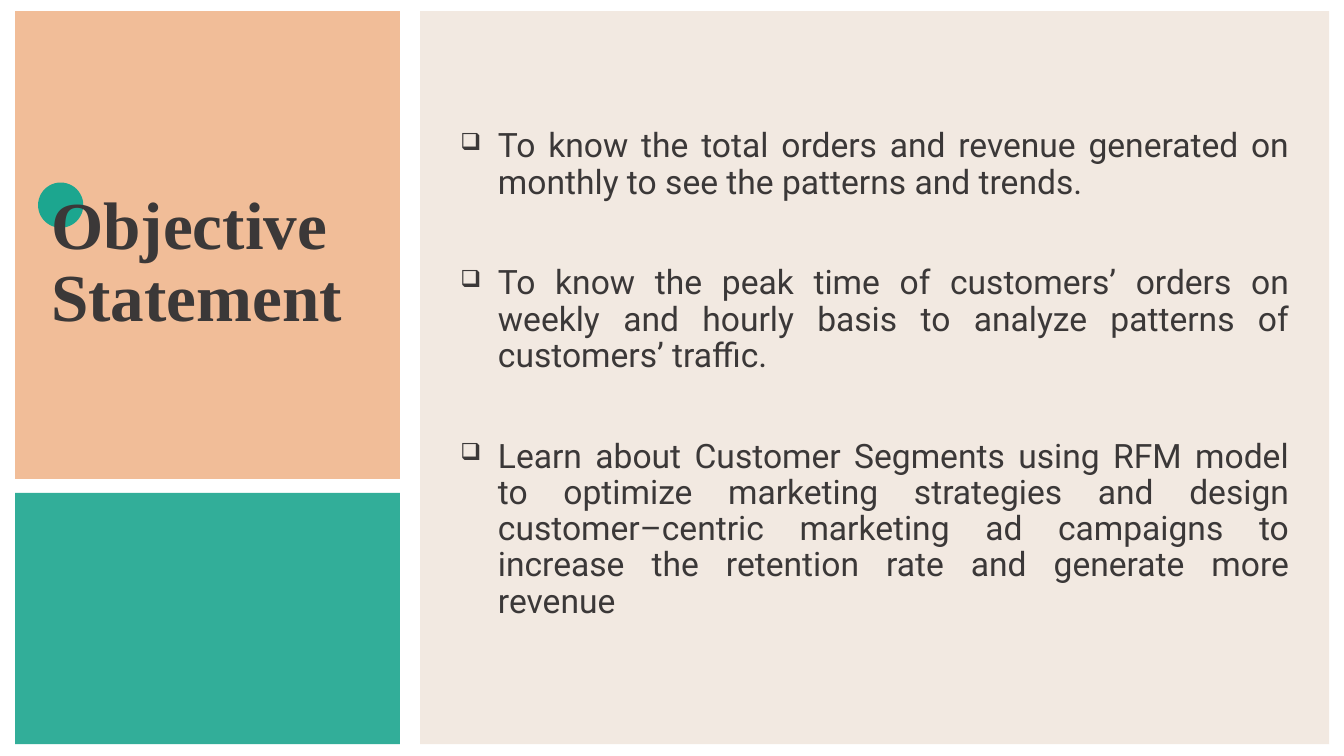
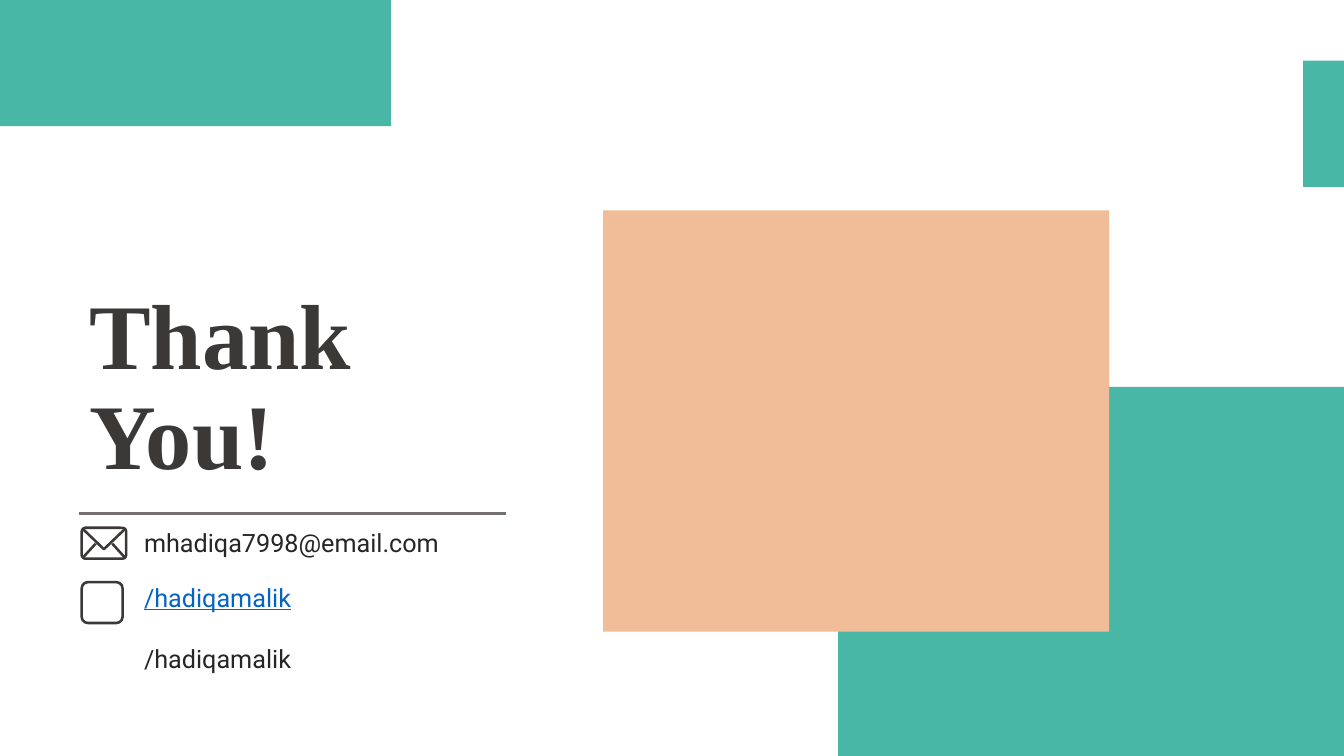
from dataclasses import dataclass
from lxml.etree import SubElement
from pptx import Presentation
from pptx.dml.color import RGBColor
from pptx.enum.shapes import MSO_CONNECTOR, MSO_SHAPE
from pptx.enum.text import MSO_ANCHOR, MSO_AUTO_SIZE, PP_ALIGN
from pptx.oxml.ns import qn
from pptx.shapes.autoshape import Shape
from pptx.slide import Slide
from pptx.util import Cm, Pt

HUES = {"teal": "1CA68F", "peach": "F1BD98", "sand": "F2E9E1", "dark": "3B3838",
        "ink": "262626", "link": "0563C1", "rule": "767171"}
HEAD = {"name": "Times New Roman", "bold": True}
BODY = {"name": "Roboto", "bold": False}
LEFT = {"alignment": PP_ALIGN.LEFT, "line_spacing": 0.9}
JUST = {"alignment": PP_ALIGN.JUSTIFY, "line_spacing": 0.9}
FRAME = {"word_wrap": True, "auto_size": MSO_AUTO_SIZE.NONE}
WIDE = {f"margin_{side}": Cm(0.25) for side in ("left", "right", "top", "bottom")}
INDENT = Cm(0.95)
HUNDREDTH = Cm(0.01)


@dataclass
class Box:
    """A place on the slide, in centimetres."""
    x: float
    y: float
    w: float
    h: float

    def spots(self) -> list[Cm]:
        """Give left, top, width and height as lengths."""
        return [Cm(v) for v in (self.x, self.y, self.w, self.h)]


@dataclass
class Panel:
    """A flat coloured area; alpha is its opacity in percent."""
    box: Box
    hue: str
    alpha: int = 100
    kind: MSO_SHAPE = MSO_SHAPE.RECTANGLE


@dataclass
class Contact:
    """One line of contact text."""
    y: float
    text: str
    hue: str = "ink"
    under: bool = False


def shade(name: str) -> RGBColor:
    """Look up a named colour."""
    return RGBColor.from_string(HUES[name])


def apply(target: object, *styles: dict) -> None:
    """Set attributes from dicts of format values."""
    for style in styles:
        for key, value in style.items():
            setattr(target, key, value)


def draw_panel(slide: Slide, panel: Panel) -> None:
    """Draw a filled area without outline."""
    shape = slide.shapes.add_shape(panel.kind, *panel.box.spots())
    shape.shadow.inherit = False
    shape.fill.solid()
    shape.fill.fore_color.rgb = shade(panel.hue)
    shape.line.fill.background()
    if panel.alpha < 100:
        tint = shape.element.spPr.find(".//" + qn("a:srgbClr"))
        SubElement(tint, qn("a:alpha"), val=str(panel.alpha * 1000))


def stroke(shape: Shape, width: float) -> None:
    """Leave a shape as a dark outline only."""
    shape.shadow.inherit = False
    shape.fill.background()
    shape.line.color.rgb = shade("dark")
    shape.line.width = Pt(width)


def draw_frame(slide: Slide, box: Box, curve: float) -> None:
    """Draw the rounded outline of an icon."""
    shape = slide.shapes.add_shape(MSO_SHAPE.ROUNDED_RECTANGLE, *box.spots())
    shape.adjustments[0] = curve
    stroke(shape, 1.8)


def draw_mail(slide: Slide, box: Box) -> None:
    """Draw an envelope with its flap and two folds."""
    draw_frame(slide, box, 0.12)
    left, right = 100 * box.x + 5, 100 * (box.x + box.w) - 5
    top, base = 100 * box.y + 5, 100 * (box.y + box.h) - 5
    mid, fold = (left + right) / 2, top + 35
    path = slide.shapes.build_freeform(left, top, scale=HUNDREDTH)
    path.add_line_segments([(mid, top + 49), (right, top)], close=False)
    for edge, turn in ((left, 30), (right, -30)):
        path.move_to(edge, base)
        path.add_line_segments([(edge + turn, fold)], close=False)
    stroke(path.convert_to_shape(), 1.8)


def draw_rule(slide: Slide, x: float, y: float, end: float) -> None:
    """Draw a level line."""
    line = slide.shapes.add_connector(MSO_CONNECTOR.STRAIGHT, Cm(x), Cm(y), Cm(end), Cm(y))
    line.line.color.rgb = shade("rule")
    line.line.width = Pt(2.25)
    SubElement(line.element.spPr, qn("a:effectLst"))


def write(shape: Shape, text: str, font: dict, para: dict, frame: dict, hue: str) -> None:
    """Fill a shape with text, one paragraph a line."""
    body = shape.text_frame
    apply(body, FRAME, frame)
    body.text = text
    for item in body.paragraphs:
        apply(item, para)
        for run in item.runs:
            apply(run.font, font)
            run.font.color.rgb = shade(hue)


def draw_title(slide: Slide, text: str, box: Box, size: int, frame: dict) -> None:
    """Place the title above all other shapes."""
    title = slide.shapes.title
    apply(title, dict(zip(("left", "top", "width", "height"), box.spots())))
    write(title, text, {**HEAD, "size": Pt(size)}, LEFT, frame, "dark")
    title.element.getparent().append(title.element)


def draw_goals(slide: Slide, goals: list[str], box: Box) -> None:
    """Write a justified list with box bullets."""
    shape = slide.shapes.add_textbox(*box.spots())
    write(shape, "\n".join(goals), {**BODY, "size": Pt(24)}, JUST, WIDE, "dark")
    for spot, para in enumerate(shape.text_frame.paragraphs):
        para.space_before = Pt(46 if spot else 0)
        props = para._p.get_or_add_pPr()
        props.set("marL", str(INDENT))
        props.set("indent", str(-INDENT))
        SubElement(props, qn("a:buSzPct"), val="70000")
        SubElement(props, qn("a:buChar"), char="❑")


def draw_contact(slide: Slide, item: Contact) -> None:
    """Write one contact line."""
    shape = slide.shapes.add_textbox(*Box(3.38, item.y, 12.75, 1.14).spots())
    font = {**BODY, "size": Pt(18), "underline": item.under}
    write(shape, item.text, font, LEFT, {}, item.hue)


def add_slide(deck: Presentation, panels: list[Panel]) -> Slide:
    """Add a title-only slide with its panels."""
    slide = deck.slides.add_slide(deck.slide_layouts[5])
    for panel in panels:
        draw_panel(slide, panel)
    return slide


def build_goals(deck: Presentation) -> None:
    """Build the objective slide."""
    slide = add_slide(deck, [
        Panel(Box(0.38, 0.28, 9.7, 11.79), "peach"),
        Panel(Box(0.38, 12.42, 9.7, 6.33), "teal", 90),
        Panel(Box(10.59, 0.28, 22.91, 18.47), "sand"),
        Panel(Box(0.96, 4.6, 1.14, 1.14), "teal", kind=MSO_SHAPE.OVAL),
    ])
    draw_goals(slide, [
        "To know the total orders and revenue generated on monthly to see the "
        "patterns and trends.",
        "To know the peak time of customers’ orders on weekly and hourly basis to "
        "analyze patterns of customers’ traffic.",
        "Learn about Customer Segments using RFM model to optimize marketing "
        "strategies and design customer–centric marketing ad campaigns to increase "
        "the retention rate and generate more revenue",
    ], Box(11.35, 3, 21.39, 13.08))
    draw_title(slide, "Objective\nStatement", Box(1.04, 4.6, 8.38, 4.09), 48,
               {**WIDE, "vertical_anchor": MSO_ANCHOR.MIDDLE})


def build_thanks(deck: Presentation) -> None:
    """Build the closing slide."""
    slide = add_slide(deck, [
        Panel(Box(0, 0, 9.85, 3.18), "teal", 80),
        Panel(Box(21.12, 9.75, 12.75, 9.3), "teal", 80),
        Panel(Box(15.2, 5.3, 12.75, 10.62), "peach"),
        Panel(Box(32.84, 1.53, 1.03, 3.18), "teal", 80),
    ])
    draw_rule(slide, 2, 12.93, 12.75)
    draw_mail(slide, Box(2.06, 13.3, 1.12, 0.78))
    draw_frame(slide, Box(2.06, 14.67, 1.03, 1.03), 0.15)
    for item in (Contact(13.26, "mhadiqa7998@email.com"),
                 Contact(14.63, "/hadiqamalik", "link", True),
                 Contact(16.18, "/hadiqamalik")):
        draw_contact(slide, item)
    draw_title(slide, "Thank\nYou!", Box(2, 6.43, 16.94, 6.02), 66,
               {"vertical_anchor": MSO_ANCHOR.BOTTOM})


def main() -> None:
    """Build and save the deck."""
    deck = Presentation()
    apply(deck, {"slide_width": Cm(33.87), "slide_height": Cm(19.05)})
    build_goals(deck)
    build_thanks(deck)
    deck.save("out.pptx")


main()
